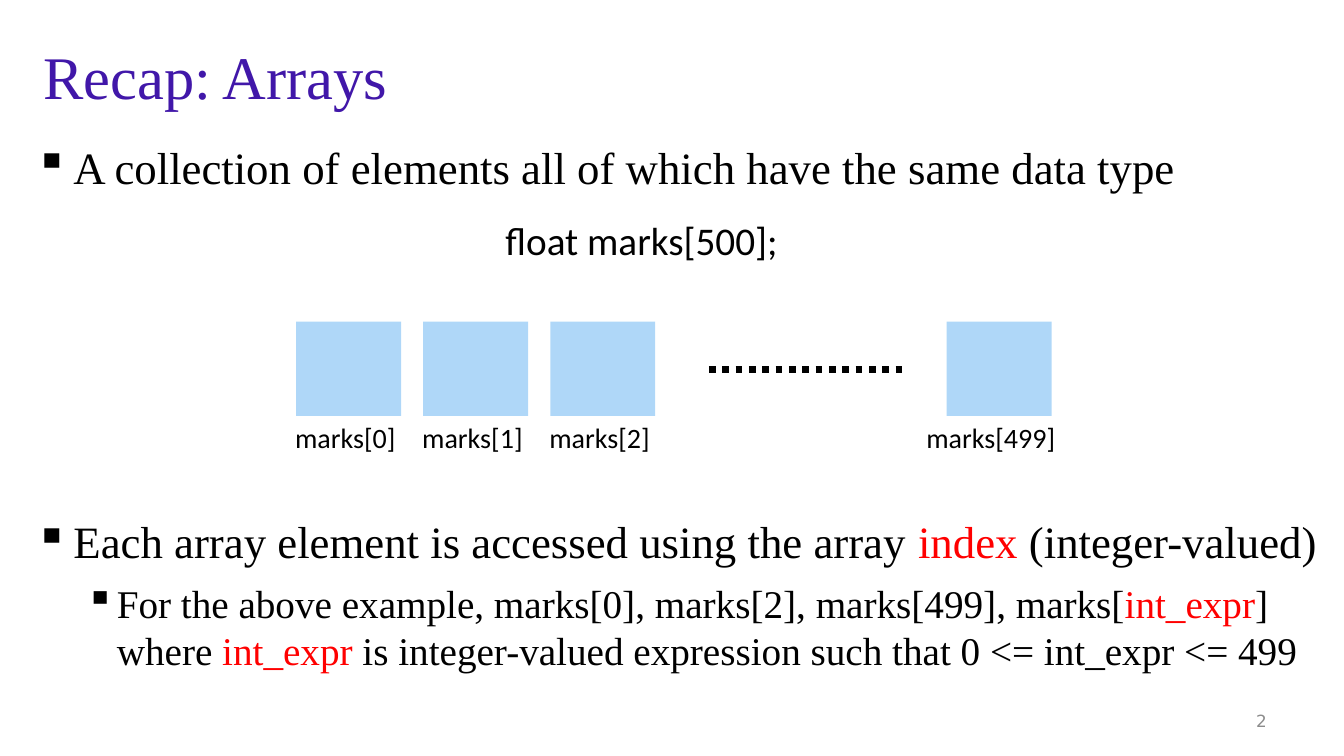
from dataclasses import dataclass

from lxml.etree import SubElement
from pptx import Presentation
from pptx.dml.color import RGBColor
from pptx.enum.dml import MSO_LINE
from pptx.enum.shapes import MSO_CONNECTOR, MSO_SHAPE
from pptx.enum.text import MSO_ANCHOR, PP_ALIGN
from pptx.oxml.ns import qn
from pptx.slide import Slide
from pptx.text.text import TextFrame
from pptx.util import Inches, Pt

COLORS = {
    "title": "4117A9",
    "text": "000000",
    "accent": "FF0000",
    "cell": "60B1F2",
    "page": "8C8C8C",
}
SERIF, SANS, PAGE_FONT = "Times New Roman", "Calibri", "DejaVu Sans"

SLIDE_WIDTH, SLIDE_HEIGHT = Inches(13.33), Inches(7.5)
COLUMNS, ROWS = 160, 90

CELL_WIDTH, CELL_HEIGHT = 12.5, 11.2
CELL_TOP = 38.3
FIRST_CELL, CELL_STEP, LAST_CELL = 35.25, 15.13, 112.7


@dataclass(frozen=True)
class Area:
    """A rectangle in grid columns and rows."""
    left: float
    top: float
    width: float
    height: float

    def emu(self) -> tuple[int, int, int, int]:
        return col(self.left), row(self.top), col(self.width), row(self.height)


@dataclass(frozen=True)
class Style:
    font: str
    size: float
    color: str = "text"


@dataclass(frozen=True)
class Bullet:
    """A bulleted paragraph; its pieces pair wording with a colour name."""
    pieces: list[tuple[str, str]]
    size: int
    indent: float
    hanging: float
    level: int = 0


@dataclass(frozen=True)
class Element:
    """One array element drawn as a cell with a label below."""
    label: str
    left: float
    label_width: float


def col(count: float) -> int:
    return round(SLIDE_WIDTH * count / COLUMNS)


def row(count: float) -> int:
    return round(SLIDE_HEIGHT * count / ROWS)


def add_run(paragraph, wording: str, style: Style) -> None:
    run = paragraph.add_run()
    run.text = wording
    run.font.name = style.font
    run.font.size = Pt(style.size)
    run.font.color.rgb = RGBColor.from_string(COLORS[style.color])


def add_frame(slide: Slide, area: Area, wrap: bool = True) -> TextFrame:
    frame = slide.shapes.add_textbox(*area.emu()).text_frame
    frame.word_wrap = wrap
    return frame


def add_line_of_text(slide: Slide, area: Area, wording: str, style: Style,
                     align: PP_ALIGN = PP_ALIGN.LEFT,
                     anchor: MSO_ANCHOR = MSO_ANCHOR.TOP,
                     wrap: bool = True) -> None:
    frame = add_frame(slide, area, wrap)
    frame.vertical_anchor = anchor
    frame.paragraphs[0].alignment = align
    add_run(frame.paragraphs[0], wording, style)


def add_bullets(slide: Slide, area: Area, bullets: list[Bullet]) -> None:
    frame = add_frame(slide, area)
    for position, bullet in enumerate(bullets):
        paragraph = frame.add_paragraph() if position else frame.paragraphs[0]
        properties = paragraph._p.get_or_add_pPr()
        properties.set("marL", str(Inches(bullet.indent)))
        properties.set("indent", str(-Inches(bullet.hanging)))
        SubElement(properties, qn("a:buChar")).set("char", "▪")
        paragraph.level = bullet.level
        if position:
            paragraph.space_before = Pt(8)
        for wording, color in bullet.pieces:
            add_run(paragraph, wording, Style(SERIF, bullet.size, color))


def add_element(slide: Slide, element: Element) -> None:
    area = Area(element.left, CELL_TOP, CELL_WIDTH, CELL_HEIGHT)
    cell = slide.shapes.add_shape(MSO_SHAPE.RECTANGLE, *area.emu())
    cell.shadow.inherit = False
    cell.line.fill.background()
    cell.fill.solid()
    cell.fill.fore_color.rgb = RGBColor.from_string(COLORS["cell"])
    fill_color = cell._element.spPr.find(".//" + qn("a:srgbClr"))
    SubElement(fill_color, qn("a:alpha")).set("val", "50000")

    label_left = element.left + (CELL_WIDTH - element.label_width) / 2
    label_area = Area(label_left, CELL_TOP + CELL_HEIGHT, element.label_width, 5.3)
    add_line_of_text(slide, label_area, element.label, Style(SANS, 20))


def add_omitted_elements(slide: Slide, start: float, end: float, level: float) -> None:
    """Draw the dotted line that stands for the elements left out."""
    dots = slide.shapes.add_connector(
        MSO_CONNECTOR.STRAIGHT, col(start), row(level), col(end), row(level))
    dots.line.color.rgb = RGBColor.from_string(COLORS["text"])
    dots.line.width = Pt(4.75)
    dots.line.dash_style = MSO_LINE.ROUND_DOT
    SubElement(dots._element.spPr, qn("a:effectLst"))


def main() -> None:
    presentation = Presentation()
    presentation.slide_width = SLIDE_WIDTH
    presentation.slide_height = SLIDE_HEIGHT
    slide = presentation.slides.add_slide(presentation.slide_layouts[6])

    add_line_of_text(slide, Area(4, 4, 144, 10), "Recap: Arrays",
                     Style(SERIF, 43.2, "title"), anchor=MSO_ANCHOR.MIDDLE)

    definition = Bullet(
        [("A collection of elements all of which have the same data type", "text")],
        32, 0.38, 0.38)
    access = Bullet(
        [("Each array element is accessed using the array ", "text"),
         ("index", "accent"),
         (" (integer-valued)", "text")],
        32, 0.38, 0.38)
    example = Bullet(
        [("For the above example, marks[0], marks[2], marks[499], marks[", "text"),
         ("int_expr", "accent"),
         ("] where ", "text"),
         ("int_expr ", "accent"),
         ("is integer-valued expression such that 0 <= int_expr <= 499", "text")],
        28, 0.81, 0.31, level=1)
    add_bullets(slide, Area(3, 16, 156.1, 8), [definition])
    add_bullets(slide, Area(3, 60.6, 156.1, 22), [access, example])

    add_line_of_text(slide, Area(59, 25.2, 35.3, 6.8), "float marks[500];",
                     Style(SANS, 28), wrap=False)

    elements = [Element(f"marks[{index}]", FIRST_CELL + index * CELL_STEP, 15.1)
                for index in range(3)]
    elements.append(Element("marks[499]", LAST_CELL, 19.7))
    for element in elements:
        add_element(slide, element)
    add_omitted_elements(slide, 84.4, 107.9, 44)

    add_line_of_text(slide, Area(114.7, 83.4, 37.3, 4.8), "2",
                     Style(PAGE_FONT, 12, "page"),
                     align=PP_ALIGN.RIGHT, anchor=MSO_ANCHOR.MIDDLE)

    presentation.save("out.pptx")


if __name__ == "__main__":
    main()
